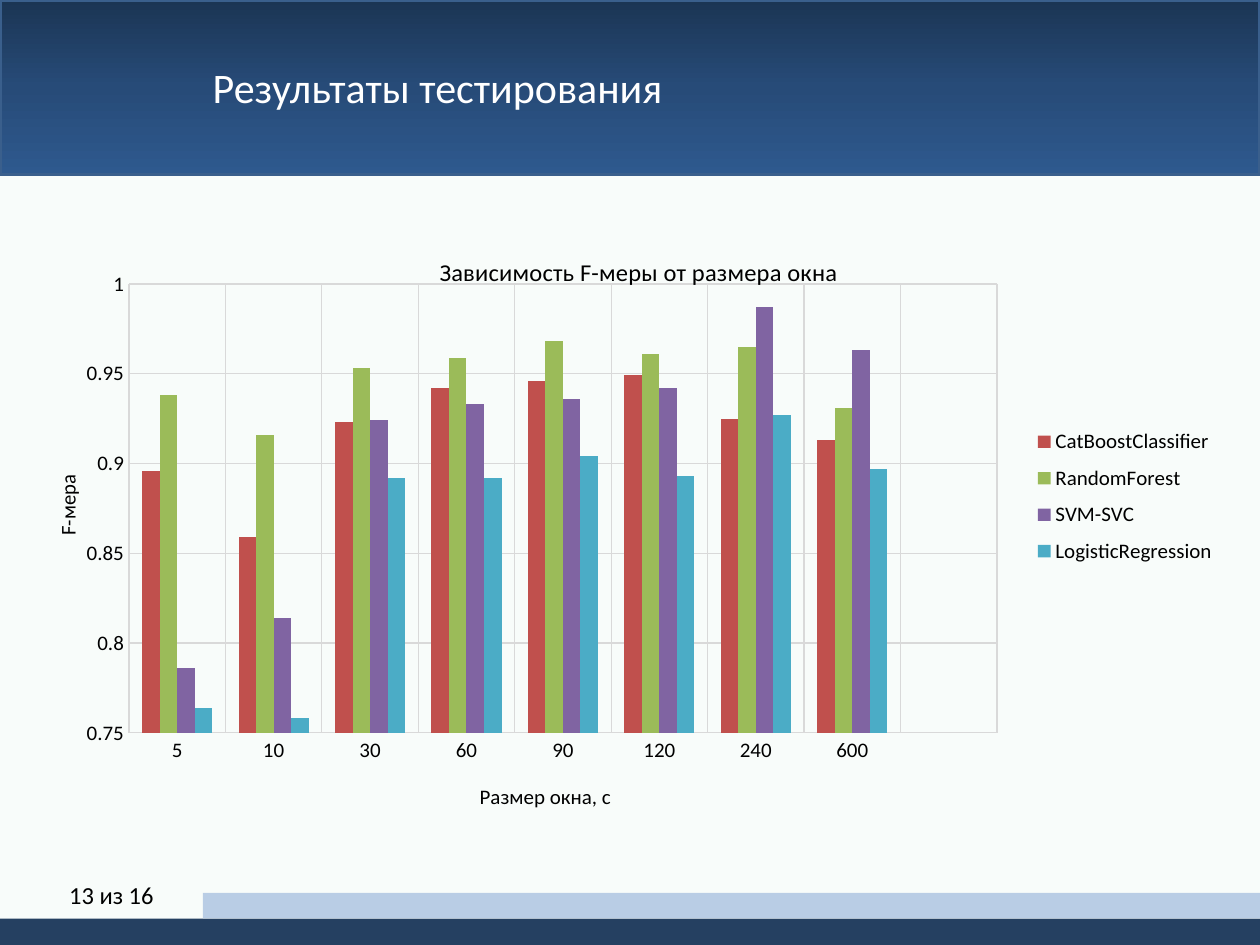
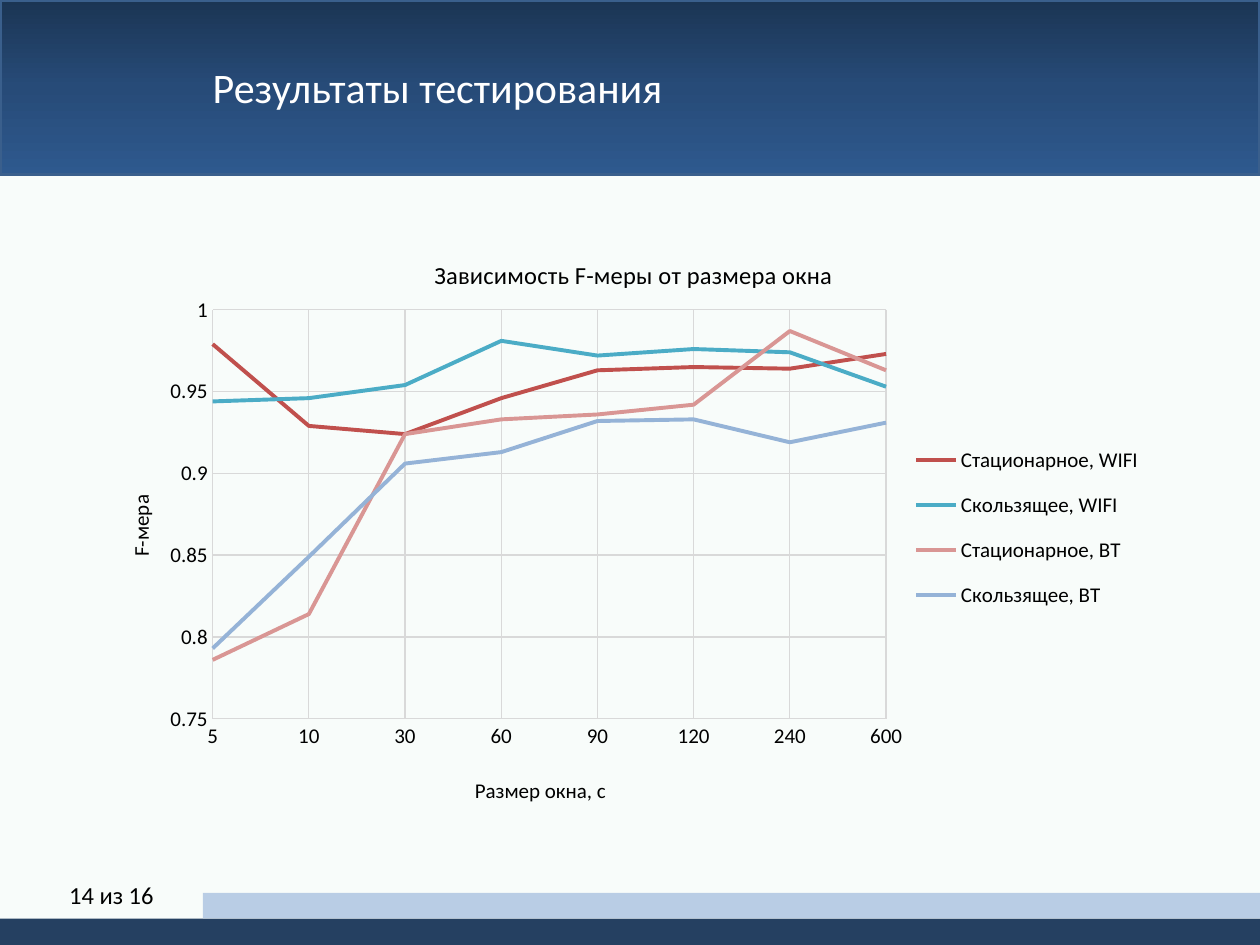
from copy import deepcopy
from dataclasses import dataclass
from lxml.etree import SubElement
from pptx import Presentation
from pptx.chart.data import CategoryChartData
from pptx.dml.color import RGBColor
from pptx.enum.chart import XL_CHART_TYPE, XL_LEGEND_POSITION, XL_TICK_MARK
from pptx.enum.shapes import MSO_SHAPE
from pptx.enum.text import MSO_ANCHOR, PP_ALIGN
from pptx.oxml.ns import qn
from pptx.util import Inches, Pt


@dataclass(frozen=True)
class Theme:
    font: str = "Calibri"
    head: int = 24
    mid: int = 14
    small: int = 12
    white: str = "FFFFFF"
    ink: str = "000000"
    page: str = "F8FCFA"
    edge: str = "3A5F8C"
    dark: str = "254061"
    pale: str = "B9CDE5"
    grid: str = "D9D9D9"
    fade: tuple = ("1B3554", "274B78", "2E598E")
    red: str = "C0504D"
    green: str = "9BBB59"
    plum: str = "8064A2"
    teal: str = "4BACC6"
    rose: str = "D99694"
    sky: str = "95B3D7"


theme = Theme()
rgb = RGBColor.from_string
wide, high = Inches(10), Inches(7.5)
top, foot = 0.185, 0.972  # lower edge of the head band, upper edge of the foot band
times = ["5", "10", "30", "60", "90", "120", "240", "600"]
svm = [0.786, 0.814, 0.924, 0.933, 0.936, 0.942, 0.987, 0.963]

# Places of chart parts are shares of the chart's own size
pages = [
    dict(
        page=13, kind=XL_CHART_TYPE.COLUMN_CLUSTERED, cats=times + [""],
        box=(0.028, 0.235, 0.953, 0.628), plot=(0.078, 0.106, 0.723, 0.769),
        key=(0.825, 0.335, 0.165, 0.27), name=(0.333, 0.049),
        xname=(0.367, 0.953), yname=(0.012, 0.427),
        rows=[
            ("CatBoostClassifier", theme.red,
             [0.896, 0.859, 0.923, 0.942, 0.946, 0.949, 0.925, 0.913]),
            ("RandomForest", theme.green,
             [0.938, 0.916, 0.953, 0.959, 0.968, 0.961, 0.965, 0.931]),
            ("SVM-SVC", theme.plum, svm),
            ("LogisticRegression", theme.teal,
             [0.764, 0.758, 0.892, 0.892, 0.904, 0.893, 0.927, 0.897]),
        ],
    ),
    dict(
        page=14, kind=XL_CHART_TYPE.LINE, cats=times,
        box=(0.071, 0.237, 0.858, 0.631), plot=(0.114, 0.144, 0.623, 0.686),
        key=(0.755, 0.342, 0.225, 0.335), name=(0.315, 0.049),
        xname=(0.353, 0.92), yname=(0.031, 0.448),
        rows=[
            ("Стационарное, WIFI", theme.red,
             [0.979, 0.929, 0.924, 0.946, 0.963, 0.965, 0.964, 0.973]),
            ("Скользящее, WIFI", theme.teal,
             [0.944, 0.946, 0.954, 0.981, 0.972, 0.976, 0.974, 0.953]),
            ("Стационарное, BT", theme.rose, svm),
            ("Скользящее, BT", theme.sky,
             [0.793, 0.849, 0.906, 0.913, 0.932, 0.933, 0.919, 0.931]),
        ],
    ),
]


def write(frame, text, size=theme.small, color=theme.ink, align=None):
    line = frame.paragraphs[0]
    line.alignment = align
    run = line.add_run()
    run.text = text
    run.font.name, run.font.size, run.font.bold = theme.font, Pt(size), False
    run.font.color.rgb = rgb(color)


def place(node, spot, rank=1):
    """Pin a chart part at x, y and, if given, w, h."""
    for old in node.findall(qn("c:layout")):
        node.remove(old)
    lay = SubElement(node, qn("c:layout"))
    node.insert(rank, lay)
    form = SubElement(lay, qn("c:manualLayout"))
    if rank == 0:
        SubElement(form, qn("c:layoutTarget")).set("val", "inner")
    for mode in ("xMode", "yMode"):
        SubElement(form, qn("c:" + mode)).set("val", "edge")
    for side, share in zip("xywh", spot):
        SubElement(form, qn("c:" + side)).set("val", str(share))


deck = Presentation()
deck.slide_width, deck.slide_height = wide, high

for item in pages:
    slide = deck.slides.add_slide(deck.slide_layouts[6])

    # Page ground and bands
    for x, y, w, h, tint in [
        (0, top, 1, 1 - top, theme.page),
        (0, 0, 1, top, None),
        (0, foot, 1, 1 - foot, theme.dark),
        (0.161, 0.945, 0.839, foot - 0.945, theme.pale),
    ]:
        band = slide.shapes.add_shape(
            MSO_SHAPE.RECTANGLE, int(x * wide), int(y * high), int(w * wide), int(h * high))
        band.shadow.inherit = False
        if tint:
            band.fill.solid()
            band.fill.fore_color.rgb = rgb(tint)
            band.line.fill.background()
        else:
            band.fill.gradient()
            band.fill.gradient_angle = 270
            stops = band._element.spPr.find(".//" + qn("a:gsLst"))
            stops.append(deepcopy(stops[-1]))
            for stop, tone, pos in zip(band.fill.gradient_stops, theme.fade, (0, 0.5, 1)):
                stop.color.rgb, stop.position = rgb(tone), pos
            band.line.color.rgb, band.line.width = rgb(theme.edge), Pt(2)

    # Heading and page count
    for x, y, w, h, text, look in [
        (0.159, 0.059, 0.677, 0.067, "Результаты тестирования",
         dict(size=theme.head, color=theme.white)),
        (-0.028, 0.92, 0.233, 0.053, f"{item['page']} из 16",
         dict(size=theme.mid, align=PP_ALIGN.CENTER)),
    ]:
        box = slide.shapes.add_textbox(
            int(x * wide), int(y * high), int(w * wide), int(h * high))
        box.text_frame.word_wrap = True
        if "align" in look:
            box.text_frame.vertical_anchor = MSO_ANCHOR.MIDDLE
        write(box.text_frame, text, **look)

    # Chart data
    data = CategoryChartData()
    data.categories = item["cats"]
    for name, _, vals in item["rows"]:
        data.add_series(name, vals + [None] * (len(item["cats"]) - len(vals)))
    x, y, w, h = item["box"]
    chart = slide.shapes.add_chart(
        item["kind"], int(x * wide), int(y * high), int(w * wide), int(h * high), data).chart
    chart.font.name, chart.font.size = theme.font, Pt(theme.small)
    chart.font.color.rgb = rgb(theme.ink)
    place(chart._chartSpace.chart.plotArea, item["plot"], rank=0)

    # Chart title and legend
    chart.has_title = True
    write(chart.chart_title.text_frame, "Зависимость F-меры от размера окна", size=theme.mid)
    place(chart.chart_title._element, item["name"])
    chart.has_legend = True
    chart.legend.position = XL_LEGEND_POSITION.RIGHT
    chart.legend.include_in_layout = False
    place(chart.legend._element, item["key"])

    # Axes
    for axis, text, spot in [
        (chart.category_axis, "Размер окна, с", item["xname"]),
        (chart.value_axis, "F-мера", item["yname"]),
    ]:
        write(axis.axis_title.text_frame, text)
        place(axis.axis_title._element, spot)
        axis.major_tick_mark = axis.minor_tick_mark = XL_TICK_MARK.NONE
        axis.has_major_gridlines = True
        for rule in (axis.major_gridlines.format.line, axis.format.line):
            rule.color.rgb, rule.width = rgb(theme.grid), Pt(0.75)
    scale = chart.value_axis
    scale.format.line.fill.background()
    scale.minimum_scale, scale.maximum_scale, scale.major_unit = 0.75, 1, 0.05
    scale.tick_labels.number_format = "General"
    scale.tick_labels.number_format_is_linked = False
    turn = scale.axis_title.text_frame._txBody.bodyPr
    turn.set("rot", "-5400000")
    turn.set("vert", "horz")

    # Series
    plot = chart.plots[0]
    plot.vary_by_categories = False
    lines = item["kind"] == XL_CHART_TYPE.LINE
    if lines:
        cross = scale._element.find(qn("c:crossBetween"))
        if cross is None:
            cross = scale._element.makeelement(qn("c:crossBetween"))
            scale._element.find(qn("c:crosses")).addnext(cross)
        cross.set("val", "midCat")
    else:
        plot.gap_width, plot.overlap = 150, 0
    for row, (_, tint, _) in zip(plot.series, item["rows"]):
        if lines:
            row.smooth = False
            row.format.line.color.rgb, row.format.line.width = rgb(tint), Pt(2.25)
        else:
            row.format.fill.solid()
            row.format.fill.fore_color.rgb = rgb(tint)

deck.save("out.pptx")
